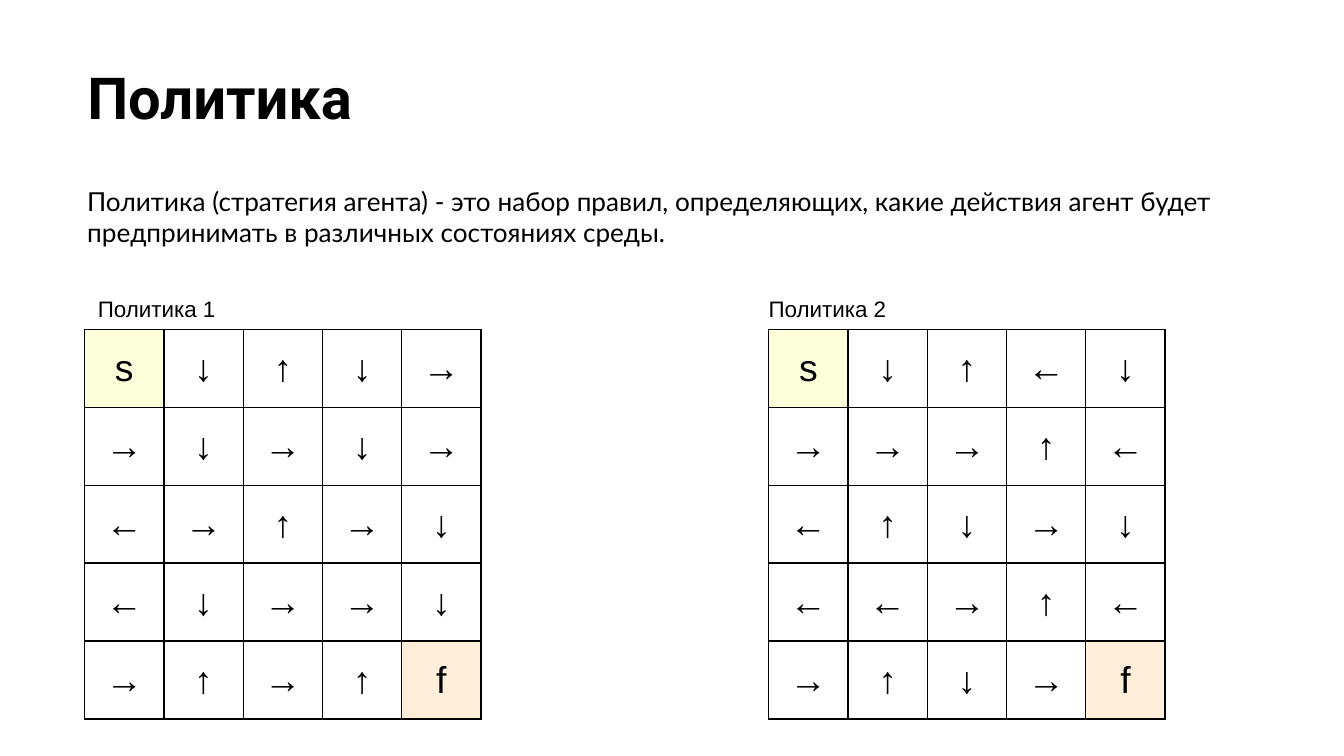
from dataclasses import dataclass

from lxml import etree
from pptx import Presentation
from pptx import util as u
from pptx.dml.color import RGBColor
from pptx.enum import text
from pptx.oxml import ns


@dataclass(frozen=True)
class Theme:
    ink: str = "000000"
    start: str = "FCFFD9"
    finish: str = "FFEED9"
    title_font: str = "Roboto"
    body_font: str = "Lato"
    grid_font: str = "Arial"
    title_size: float = 31
    body_size: float = 14
    label_size: float = 12
    grid_size: float = 20
    border: float = 0.75


def write(frame, words, *, font, size, color, bold=False, align=text.PP_ALIGN.LEFT,
          anchor=text.MSO_ANCHOR.TOP):
    frame.word_wrap = True
    frame.vertical_anchor = anchor
    para = frame.paragraphs[0]
    para.alignment = align
    span = para.add_run()
    span.text = words
    span.font.name = font
    span.font.size = u.Pt(size)
    span.font.bold = bold
    span.font.color.rgb = RGBColor.from_string(color)


def add_borders(cell, color, width):
    properties = cell._tc.get_or_add_tcPr()
    for side in ("lnL", "lnR", "lnT", "lnB"):
        line = etree.SubElement(properties, ns.qn(f"a:{side}"), w=str(u.Pt(width)))
        fill = etree.SubElement(line, ns.qn("a:solidFill"))
        etree.SubElement(fill, ns.qn("a:srgbClr"), val=color)


class SlideBuilder:
    def __init__(self, slide, theme):
        self.slide = slide
        self.theme = theme

    def title(self, words, left, top, width, height):
        box = self.slide.shapes.title
        box.left, box.top = u.Inches(left), u.Inches(top)
        box.width, box.height = u.Inches(width), u.Inches(height)
        frame = box.text_frame
        frame.margin_left = frame.margin_right = u.Inches(0.1)
        frame.margin_top = frame.margin_bottom = u.Inches(0.1)
        frame.auto_size = text.MSO_AUTO_SIZE.NONE
        write(frame, words, font=self.theme.title_font, size=self.theme.title_size,
              color=self.theme.ink, bold=True)

    def text_box(self, words, left, top, width, height, *, font, size):
        box = self.slide.shapes.add_textbox(*map(u.Inches, (left, top, width, height)))
        box.text_frame.auto_size = text.MSO_AUTO_SIZE.SHAPE_TO_FIT_TEXT
        write(box.text_frame, words, font=font, size=size, color=self.theme.ink)

    def policy_grid(self, rows, left, top, cell_width, cell_height):
        """Draw one symbol per cell; the s and f cells are tinted."""
        count = len(rows[0])
        table = self.slide.shapes.add_table(
            len(rows), count, u.Inches(left), u.Inches(top),
            u.Inches(cell_width * count), u.Inches(cell_height * len(rows))).table
        table.first_row = table.horz_banding = False
        for column in table.columns:
            column.width = u.Inches(cell_width)
        for row, symbols in zip(table.rows, rows):
            row.height = u.Inches(cell_height)
            for cell, symbol in zip(row.cells, symbols):
                self.grid_cell(cell, symbol)

    def grid_cell(self, cell, symbol):
        theme = self.theme
        cell.margin_left = cell.margin_right = cell.margin_top = u.Inches(0.01)
        cell.margin_bottom = 0
        write(cell.text_frame, symbol, font=theme.grid_font, size=theme.grid_size,
              color=theme.ink, align=text.PP_ALIGN.CENTER)
        cell.vertical_anchor = text.MSO_ANCHOR.MIDDLE
        add_borders(cell, theme.ink, theme.border)
        tint = {"s": theme.start, "f": theme.finish}.get(symbol)
        if tint:
            cell.fill.solid()
            cell.fill.fore_color.rgb = RGBColor.from_string(tint)
        else:
            cell.fill.background()


POLICIES = [
    ("Политика 1", 0.63, 0.63, ["s↓↑↓→", "→↓→↓→", "←→↑→↓", "←↓→→↓", "→↑→↑f"]),
    ("Политика 2", 5.62, 5.72, ["s↓↑←↓", "→→→↑←", "←↑↓→↓", "←←→↑←", "→↑↓→f"]),
]


def main():
    deck = Presentation()
    deck.slide_width = u.Inches(10)
    deck.slide_height = deck.slide_width * 9 // 16
    theme = Theme()
    builder = SlideBuilder(deck.slides.add_slide(deck.slide_layouts[5]), theme)

    builder.title("Политика", 0.55, 0.36, 9.32, 1.2)
    builder.text_box(
        "Политика (стратегия агента) - это набор правил, определяющих, "
        "какие действия агент будет предпринимать в различных состояниях среды.",
        0.55, 1.33, 9.32, 0.57, font=theme.body_font, size=theme.body_size)
    for label, label_left, grid_left, rows in POLICIES:
        builder.policy_grid(rows, grid_left, 2.45, 0.59, 0.58)
        builder.text_box(label, label_left, 2.15, 1.17, 0.3,
                         font=theme.grid_font, size=theme.label_size)

    deck.save("out.pptx")


if __name__ == "__main__":
    main()
